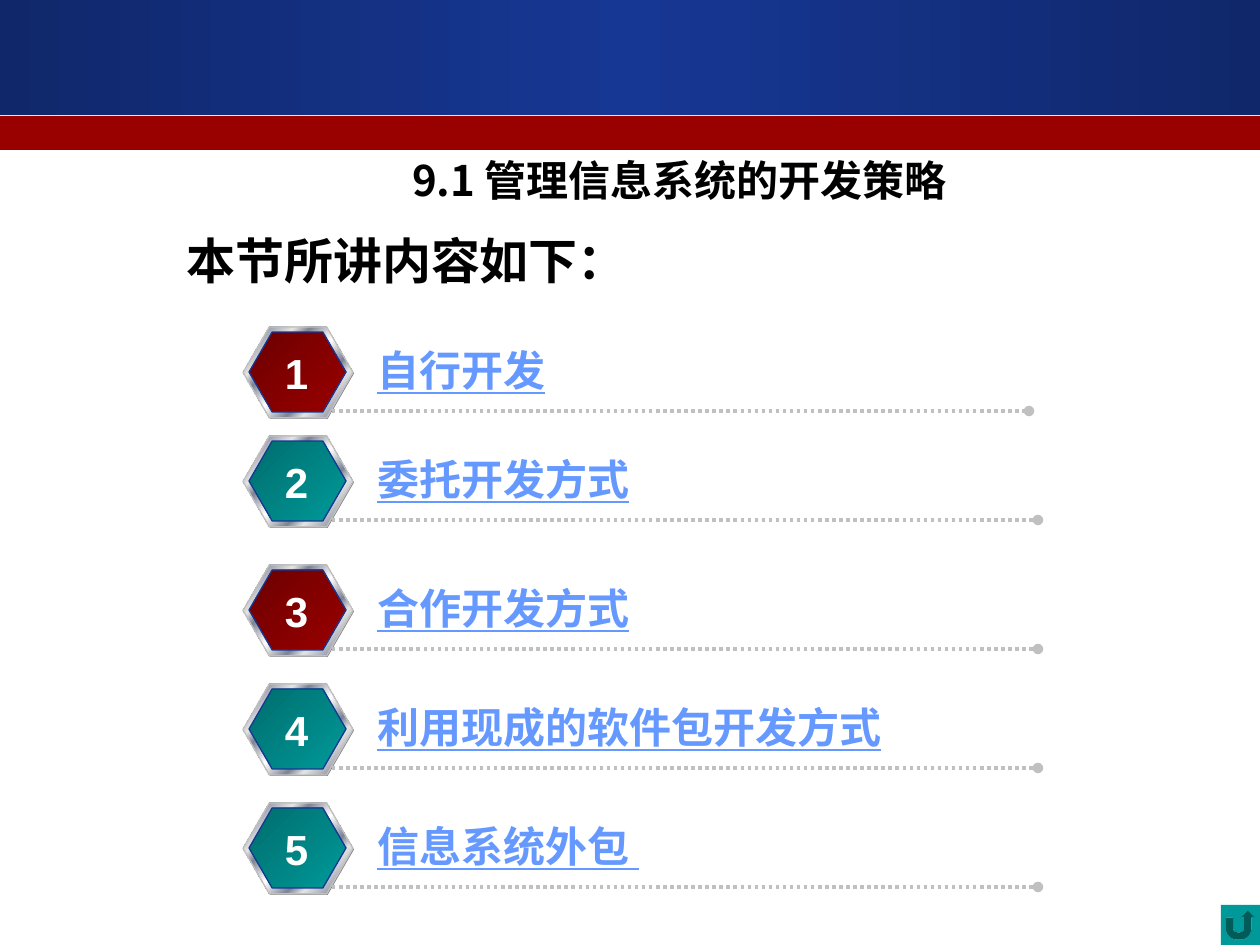
import pptx
import pptx.dml.color
import pptx.enum.dml
import pptx.enum.shapes
import pptx.enum.text
import pptx.oxml.ns
import pptx.oxml.xmlchemy
import pptx.util
from lxml import etree

EMU_PER_PX = 914400 / 126
COLORS = {
    "navy": "10276A", "blue": "163794", "red": "990000", "dark red": "6D0000",
    "teal": "009999", "dark teal": "006D6D", "grey": "808080", "silver": "C0C0C0",
    "light": "E6E6E6", "steel": "7D8496", "white": "FFFFFF", "black": "000000",
    "link": "6699FF",
}
METAL = [(0, "light"), (8, "steel"), (26, "light"), (34, "steel"), (46, "light"),
         (50, "white"), (54, "light"), (66, "steel"), (74, "light"), (92, "steel"),
         (100, "light")]
# topic, top, label width, rule length, face colour
TOPICS = [
    ("自行开发", 327, 294, 697, "red"),
    ("委托开发方式", 436, 294, 706, "teal"),
    ("合作开发方式", 565, 294, 706, "red"),
    ("利用现成的软件包开发方式", 684, 567, 706, "teal"),
    ("信息系统外包 ", 803, 567, 706, "teal"),
]
SHAPE = pptx.enum.shapes.MSO_SHAPE
ALIGN = pptx.enum.text.PP_ALIGN
qn = pptx.oxml.ns.qn


def px(*lengths):
    return [round(length * EMU_PER_PX) for length in lengths]


def rgb(name):
    return pptx.dml.color.RGBColor.from_string(COLORS[name])


def fill_gradient(shape, stops, angle):
    """Fill with (percent, colour) stops; the angle runs clockwise in degrees."""
    shape.fill.gradient()
    gradient = shape._element.spPr.find(qn("a:gradFill"))
    stop_list = gradient.find(qn("a:gsLst"))
    for stop in list(stop_list):
        stop_list.remove(stop)
    for percent, name in stops:
        stop = etree.SubElement(stop_list, qn("a:gs"), pos=str(percent * 1000))
        etree.SubElement(stop, qn("a:srgbClr"), val=COLORS[name])
    gradient.find(qn("a:lin")).set("ang", str(angle * 60000))


def add_shape(shapes, kind, box, fill, angle=0, line=None):
    """Add a preset shape; fill is a colour name or a list of gradient stops."""
    shape = shapes.add_shape(kind, *px(*box))
    shape.shadow.inherit = False
    if isinstance(fill, str):
        shape.fill.solid()
        shape.fill.fore_color.rgb = rgb(fill)
    else:
        fill_gradient(shape, fill, angle)
    if line:
        shape.line.color.rgb = rgb(line)
        shape.line.width = pptx.util.Pt(0.75)
    else:
        shape.line.fill.background()
    if kind == SHAPE.HEXAGON:
        shape.adjustments[0] = 0.289
    return shape


def format_paragraph(paragraph, size, font_name, color, align=ALIGN.LEFT):
    paragraph.alignment = align
    font = paragraph.font
    font.size, font.name, font.bold = pptx.util.Pt(size), font_name, True
    font.color.rgb = rgb(color)


def add_text(shapes, box, text, size, font_name, color, wrap=True, align=ALIGN.LEFT):
    frame = shapes.add_textbox(*px(*box)).text_frame
    frame.word_wrap = wrap
    frame.auto_size = pptx.enum.text.MSO_AUTO_SIZE.SHAPE_TO_FIT_TEXT
    paragraph = frame.paragraphs[0]
    paragraph.text = text
    format_paragraph(paragraph, size, font_name, color, align)
    return paragraph


def add_dotted_rule(shapes, left, top, length):
    rule = shapes.add_connector(pptx.enum.shapes.MSO_CONNECTOR.STRAIGHT,
                                *px(left, top, left + length, top))
    rule.line.color.rgb = rgb("silver")
    rule.line.width = pptx.util.Pt(2)
    rule.line.dash_style = pptx.enum.dml.MSO_LINE.ROUND_DOT
    properties = rule._element.spPr
    etree.SubElement(properties.find(qn("a:ln")), qn("a:tailEnd"), type="oval")
    etree.SubElement(properties, qn("a:effectLst"))


def add_header(slide, left, top, width):
    add_shape(slide.shapes, SHAPE.RECTANGLE, (left, top, width, 115),
              [(0, "navy"), (50, "blue"), (100, "navy")])
    add_shape(slide.shapes, SHAPE.RECTANGLE, (left, top + 116, width, 34), "red")


def add_title(slide, left, top, width, height):
    title = slide.shapes.title
    title.left, title.top, title.width, title.height = px(left, top, width, height)
    frame = title.text_frame
    frame.text = "9.1 管理信息系统的开发策略"
    frame.vertical_anchor = pptx.enum.text.MSO_ANCHOR.MIDDLE
    format_paragraph(frame.paragraphs[0], 24, "Noto Sans CJK SC", "black", ALIGN.CENTER)


def add_topic(slide, left, top, number, topic, label_width, rule_length, color):
    """Add a numbered hexagon badge with a label above a dotted rule."""
    shapes = slide.shapes.add_group_shape().shapes
    add_shape(shapes, SHAPE.HEXAGON, (left + 1, top + 1, 110, 91), "grey")
    add_shape(shapes, SHAPE.HEXAGON, (left, top, 110, 91), METAL, 45, "silver")
    add_shape(shapes, SHAPE.HEXAGON, (left + 6, top + 5, 97, 80),
              [(0, f"dark {color}"), (100, color)], 45, "blue")
    add_dotted_rule(shapes, left + 89, top + 84, rule_length)
    label = add_text(shapes, (left + 122, top - 14, label_width, 88), topic,
                     24, "DejaVu Sans", "link")
    label.line_spacing = 1.5
    label.font.underline = True
    add_text(shapes, (left + 29, top + 14, 49, 63), str(number), 24, "Arial", "white",
             wrap=False, align=ALIGN.CENTER)


def main():
    presentation = pptx.Presentation()
    presentation.slide_width, presentation.slide_height = px(1260, 945)
    slide = presentation.slides.add_slide(presentation.slide_layouts[5])
    add_header(slide, 0, 0, 1260)
    add_title(slide, 193, 145, 973, 69)
    intro = add_text(slide.shapes, (174, 195, 625, 101), "本节所讲内容如下：",
                     28, "Roboto Slab", "black")
    intro.line_spacing = 1.5
    for number, (topic, top, label_width, rule_length, color) in enumerate(TOPICS, 1):
        add_topic(slide, 243, top, number, topic, label_width, rule_length, color)
    add_shape(slide.shapes, SHAPE.ACTION_BUTTON_RETURN, (1221, 905, 39, 40), "teal")
    presentation.save("out.pptx")


if __name__ == "__main__":
    main()
